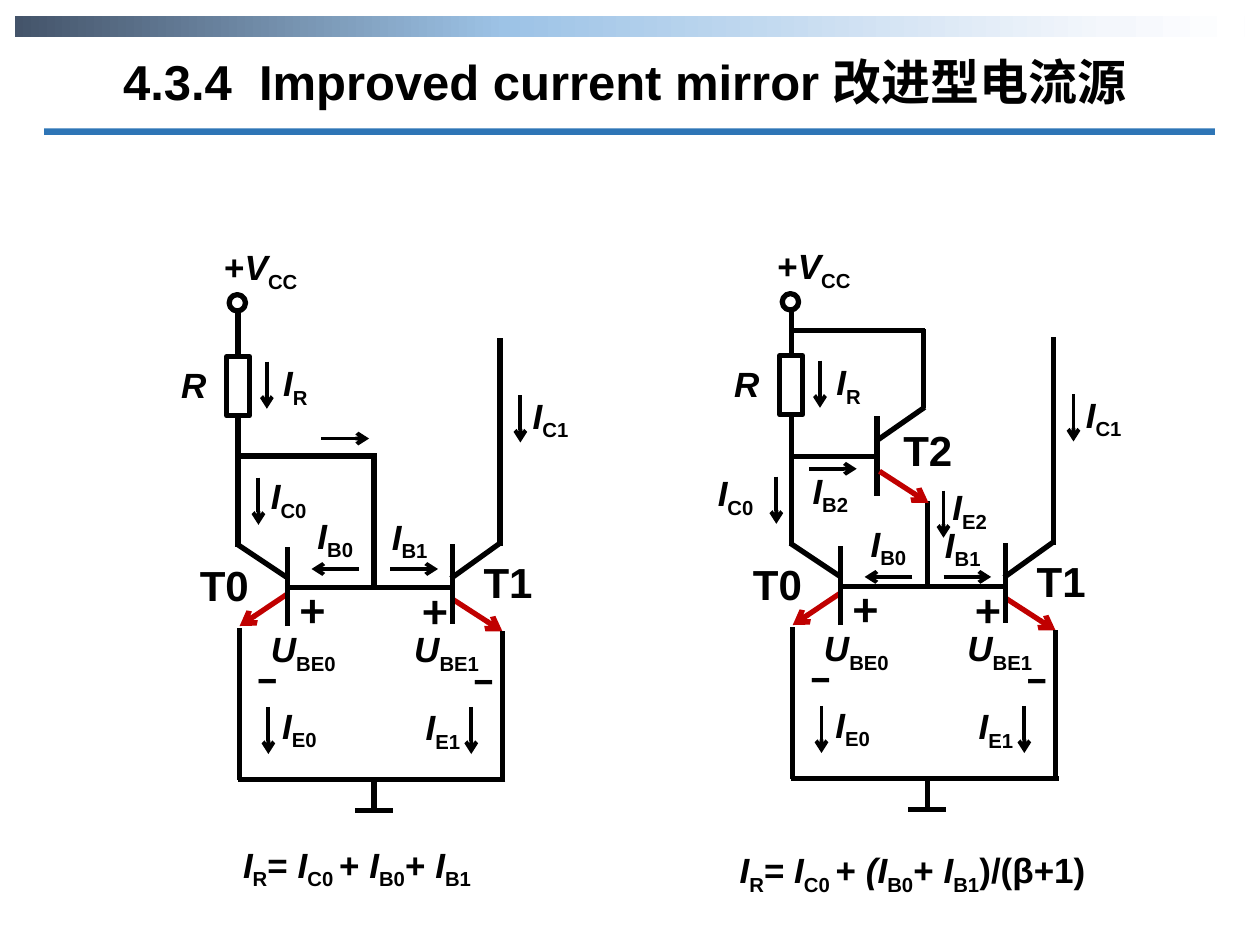
from copy import deepcopy
from typing import NamedTuple

from pptx import Presentation
from pptx.dml.color import RGBColor
from pptx.enum.shapes import MSO_CONNECTOR, MSO_SHAPE as SHAPE
from pptx.enum.text import MSO_AUTO_SIZE, PP_ALIGN as ALIGN
from pptx.oxml.ns import qn
from pptx.oxml.xmlchemy import OxmlElement
from pptx.util import Cm, Pt

BLACK = RGBColor(0x00, 0x00, 0x00)
RED = RGBColor(0xC0, 0x00, 0x00)
BLUE = RGBColor(0x2E, 0x75, 0xB6)
BAND = [(0, RGBColor(0x44, 0x54, 0x6A)), (0.4, RGBColor(0x9D, 0xC3, 0xE6)),
        (0.89, RGBColor(0xF4, 0xF7, 0xFC)), (1, RGBColor(0xFF, 0xFF, 0xFF))]
CJK = "Noto Sans CJK SC"


class Run(NamedTuple):
    text: str
    italic: bool = False
    sub: bool = False
    font: str = "Arial"


class Line(NamedTuple):
    x1: float
    y1: float
    x2: float
    y2: float
    color: RGBColor = BLACK
    width: float = 3
    arrow: bool = False


class Label(NamedTuple):
    x: float
    y: float
    w: float
    h: float
    runs: list[Run]
    size: int = 20
    align: ALIGN = ALIGN.LEFT
    wrap: bool = True


class Circuit(NamedTuple):
    dx: float
    dy: float
    lines: list[Line]
    labels: list[Label]
    base_drop: float  # extra depth of the base-current arrows and labels


def symbol(name: str, index: str) -> list[Run]:
    return [Run(name, italic=True), Run(index, sub=True)]


def current(x: float, y: float, index: str, w: float = 1.37) -> Label:
    return Label(x, y, w, 1.32, symbol("I", index))


def voltage(x: float, y: float, index: str) -> Label:
    return Label(x, y, 1.93, 1.32, symbol("U", index))


def transistor(x: float, y: float, name: str) -> Label:
    return Label(x, y, 1.63, 1.27, [Run(name)], 24)


def sign(x: float, y: float, text: str) -> Label:
    w = 1.02 if text == "+" else 1.12
    return Label(x, y, w, 1.43, [Run(text, font="Calibri")], 28, ALIGN.CENTER, False)


def emitter(x1: float, y1: float, x2: float, y2: float) -> Line:
    return Line(x1, y1, x2, y2, RED, arrow=True)


def down(x: float, y: float) -> Line:
    return Line(x, y, x, y + 0.95, width=2.25, arrow=True)


def across(x: float, y: float, length: float = 0.96) -> Line:
    return Line(x, y, x + length, y, width=2.25, arrow=True)


def draw_line(shapes, ln: Line, dx: float, dy: float) -> None:
    c = shapes.add_connector(MSO_CONNECTOR.STRAIGHT, Cm(ln.x1 + dx), Cm(ln.y1 + dy),
                             Cm(ln.x2 + dx), Cm(ln.y2 + dy))
    c.line.color.rgb = ln.color
    c.line.width = Pt(ln.width)
    if ln.arrow:
        end = OxmlElement("a:tailEnd")
        end.set("type", "arrow")
        c.line._get_or_add_ln().append(end)
    c._element.spPr.append(OxmlElement("a:effectLst"))


def draw_label(shapes, lb: Label, dx: float = 0, dy: float = 0) -> None:
    tf = shapes.add_textbox(Cm(lb.x + dx), Cm(lb.y + dy), Cm(lb.w), Cm(lb.h)).text_frame
    tf.word_wrap = lb.wrap
    tf.auto_size = MSO_AUTO_SIZE.SHAPE_TO_FIT_TEXT
    p = tf.paragraphs[0]
    p.alignment = lb.align
    for run in lb.runs:
        r = p.add_run()
        r.text = run.text
        f = r.font
        f.name, f.size, f.bold, f.italic = run.font, Pt(lb.size), True, run.italic
        f.color.rgb = BLACK
        rpr = r._r.get_or_add_rPr()
        if run.sub:
            rpr.set("baseline", "-25000")
        if run.font == CJK:
            ea = OxmlElement("a:ea")
            ea.set("typeface", CJK)
            rpr.find(qn("a:latin")).addnext(ea)


def add_preset(shapes, kind: SHAPE, x: float, y: float, w: float, h: float):
    sp = shapes.add_shape(kind, Cm(x), Cm(y), Cm(w), Cm(h))
    sp.shadow.inherit = False
    return sp


def draw_circuit(s, c: Circuit) -> None:
    shapes = s.shapes.add_group_shape().shapes
    for ln in COMMON_LINES + c.lines:
        draw_line(shapes, ln, c.dx, c.dy)
    for ln in BASE_ARROWS:
        draw_line(shapes, ln, c.dx, c.dy + c.base_drop)
    for kind, x, y, w, h in ((SHAPE.RECTANGLE, 4.57, 7.19, 0.46, 1.19),
                             (SHAPE.OVAL, 4.62, 5.94, 0.33, 0.33)):
        sp = add_preset(shapes, kind, x + c.dx, y + c.dy, w, h)
        sp.fill.background()
        sp.line.color.rgb = BLACK
        sp.line.width = Pt(3)
    for lb in COMMON_LABELS + c.labels:
        draw_label(shapes, lb, c.dx, c.dy)
    for lb in BASE_LABELS:
        draw_label(shapes, lb, c.dx, c.dy + c.base_drop)


COMMON_LINES = [
    Line(10.08, 10.95, 9.09, 11.66), emitter(9.14, 12.09, 10.13, 12.73),
    Line(9.12, 12.57, 9.12, 10.97), Line(10.08, 11, 10.08, 6.81),
    Line(4.78, 10.97, 5.77, 11.63), emitter(5.77, 11.99, 4.83, 12.62),
    Line(5.79, 12.62, 5.79, 11.02), Line(4.8, 11.02, 4.8, 8.43),
    Line(4.8, 7.19, 4.8, 6.27), Line(9.14, 11.84, 5.79, 11.84),
    Line(4.83, 15.72, 4.83, 12.65), Line(10.13, 15.72, 10.13, 12.73),
    Line(10.19, 15.72, 4.8, 15.72), Line(7.54, 16.34, 7.54, 15.72),
    Line(7.16, 16.34, 7.92, 16.34),
    down(5.38, 7.29), down(10.49, 7.97), down(5.41, 14.25), down(9.5, 14.25),
]
BASE_ARROWS = [across(7.24, 11.47, -0.96), across(7.87, 11.47)]
COMMON_LABELS = [
    Label(4.27, 4.83, 2.21, 1.32, [Run("+"), *symbol("V", "CC")]),
    Label(3.4, 7.21, 1.09, 1.12, [Run("R", italic=True)]),
    current(5.46, 7.16, "R", 1.47), current(10.49, 7.82, "C1"),
    transistor(3.78, 11.15, "T0"), transistor(9.5, 11.1, "T1"),
    voltage(5.21, 12.52, "BE0"), voltage(8.1, 12.52, "BE1"),
    current(5.44, 14.07, "E0"), current(8.33, 14.1, "E1"),
    sign(4.83, 12.9, "–"), sign(5.79, 11.53, "+"),
    sign(9.19, 12.93, "–"), sign(8.26, 11.56, "+"),
]
BASE_LABELS = [current(6.15, 10.24, "B0"), current(7.65, 10.26, "B1")]

BASIC = Circuit(
    0, 0,
    [Line(7.54, 11.84, 7.54, 9.14), Line(7.57, 9.19, 4.83, 9.19),
     across(6.48, 8.84), down(5.21, 9.63)],
    [current(5.21, 9.45, "C0")], 0)
IMPROVED = Circuit(
    11.15, -0.02,
    [Line(7.54, 11.86, 7.54, 10.11), Line(6.5, 9.22, 4.83, 9.22),
     Line(7.49, 6.68, 4.78, 6.68), Line(7.47, 8.25, 7.47, 6.65),
     Line(6.53, 10.01, 6.53, 8.41), emitter(6.58, 9.52, 7.57, 10.16),
     Line(7.49, 8.23, 6.5, 8.92),
     down(4.5, 9.63), across(5.16, 9.47), down(7.87, 9.91)],
    [current(3.07, 9.4, "C0"), current(4.98, 9.35, "B2"),
     transistor(6.81, 8.46, "T2"), current(7.8, 9.68, "E2")], 0.18)

TITLE = Label(1.7, 0.91, 21.79, 1.45,
              [Run("4.3.4  Improved current mirror "), Run(" 改进型电流源", font=CJK)],
              28, ALIGN.CENTER)
TITLE.runs[1:] = [Run("改进型电流源", font=CJK)]
SUM_START = [*symbol("I", "R"), Run("= "), *symbol("I", "C0 "), Run("+ ")]
FORMULAS = [
    Label(4.65, 16.87, 5.56, 1.32,
          [*SUM_START, *symbol("I", "B0"), Run("+ "), *symbol("I", "B1")]),
    Label(14.66, 16.99, 7.92, 1.35,
          [*SUM_START, *symbol("(I", "B0"), Run("+"), *symbol(" I", "B1"), Run(")/(β+1)")]),
]


def draw_header(s) -> None:
    band = add_preset(s.shapes, SHAPE.RECTANGLE, 0.3, 0.33, 24.79, 0.41)
    band.line.fill.background()
    band.fill.gradient()
    band.fill.gradient_angle = 0
    stops = band._element.spPr.find(".//" + qn("a:gsLst"))
    for gs in list(stops):
        stops.append(deepcopy(gs))
    for stop, (position, color) in zip(band.fill.gradient_stops, BAND):
        stop.position = position
        stop.color.rgb = color
    draw_label(s.shapes, TITLE)
    rule = add_preset(s.shapes, SHAPE.RECTANGLE, 0.89, 2.59, 23.6, 0.13)
    rule.fill.solid()
    rule.fill.fore_color.rgb = BLUE
    rule.line.fill.background()


def main() -> None:
    prs = Presentation()
    prs.slide_width, prs.slide_height = Cm(25.4), Cm(19.05)
    s = prs.slides.add_slide(prs.slide_layouts[6])
    draw_header(s)
    for circuit in (IMPROVED, BASIC):
        draw_circuit(s, circuit)
    for formula in FORMULAS:
        draw_label(s.shapes, formula)
    prs.save("out.pptx")


if __name__ == "__main__":
    main()
